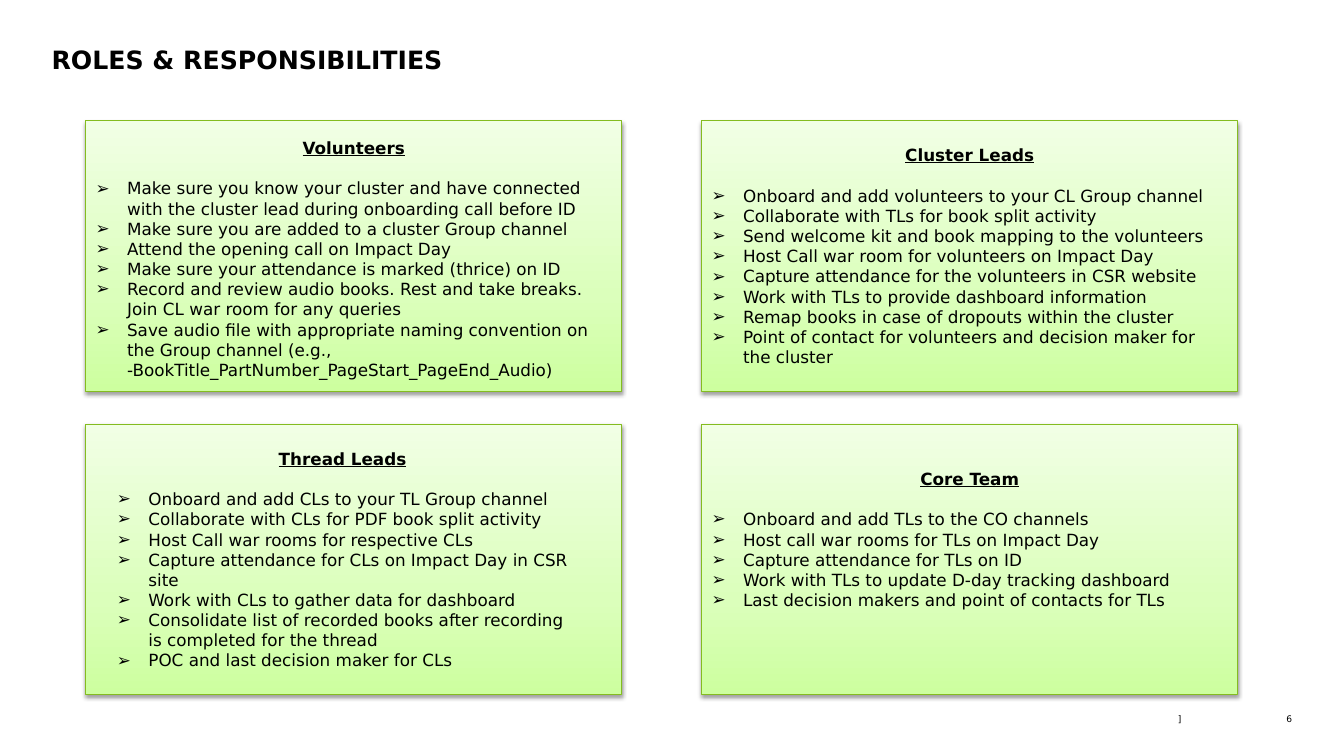
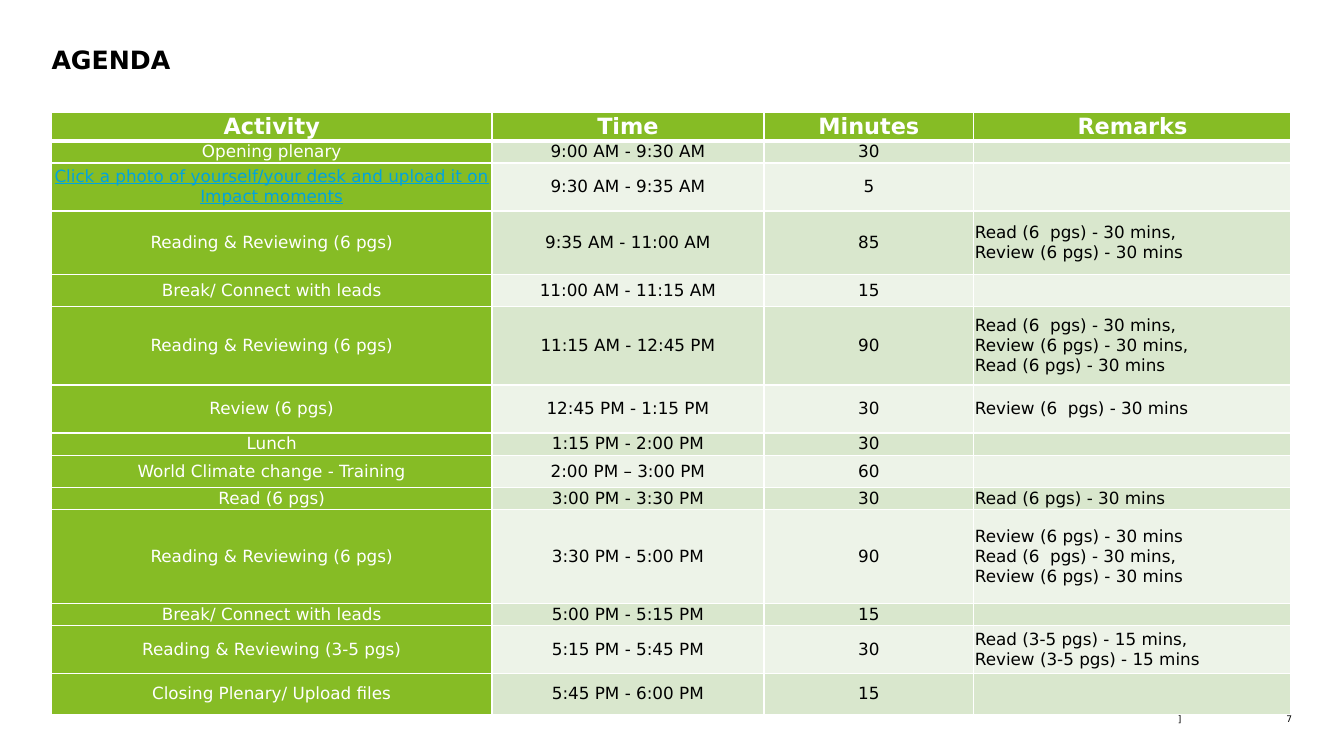
from copy import deepcopy
from dataclasses import dataclass

from lxml.etree import SubElement
from pptx import Presentation
from pptx.dml.color import RGBColor
from pptx.enum.shapes import MSO_SHAPE
from pptx.enum.text import MSO_ANCHOR, MSO_AUTO_SIZE, PP_ALIGN
from pptx.oxml import parse_xml
from pptx.oxml.ns import nsdecls, qn
from pptx.util import Pt


@dataclass(frozen=True)
class Theme:
    font: str = "DejaVu Sans"
    text: str = "000000"
    white: str = "FFFFFF"
    link: str = "00A3E0"
    panel_line: str = "84BC20"
    panel_stops: tuple = ((0, "CDFF9F"), (0.35, "DBFFBB"), (1, "F1FFE5"))
    table_green: str = "86BC25"
    bands: tuple = ("D9E7CD", "EDF3E8")
    title_size: float = 18
    header_size: float = 16
    body_size: float = 12
    footer_size: float = 6.5
    body_line: float = 14.4


@dataclass(frozen=True)
class Box:
    left: float
    top: float
    width: float
    height: float

    def lengths(self):
        return Pt(self.left), Pt(self.top), Pt(self.width), Pt(self.height)


@dataclass(frozen=True)
class Panel:
    heading: str
    items: tuple
    margins: tuple = (7.2, 7.2, 7.2, 7.2)  # left, top, right, bottom


THEME = Theme()
SLIDE_SIZE = (960, 540)
TITLE_BOX = Box(36.8, 31.4, 886, 54.6)
FOOTER_BOX = Box(458.6, 509.8, 464.4, 8)
PANELS_BOX = Box(61.2, 86.4, 823, 409.7)
PANEL_SIZE = (383, 193)
TABLE_BOX = Box(36.8, 80, 885.4, 430)

PANELS = (
    Panel("Volunteers", (
        "Make sure you know your cluster and have connected with the cluster lead "
        "during onboarding call before ID",
        "Make sure you are added to a cluster Group channel",
        "Attend the opening call on Impact Day",
        "Make sure your attendance is marked (thrice) on ID",
        "Record and review audio books. Rest and take breaks. Join CL war room for any queries",
        "Save audio file with appropriate naming convention on the Group channel (e.g., "
        "-BookTitle_PartNumber_PageStart_PageEnd_Audio)",
    ), (7.2, 11, 7.2, 7.2)),
    Panel("Cluster Leads", (
        "Onboard and add volunteers to your CL Group channel",
        "Collaborate with TLs for book split activity",
        "Send welcome kit and book mapping to the volunteers",
        "Host Call war room for volunteers on Impact Day",
        "Capture attendance for the volunteers in CSR website",
        "Work with TLs to provide dashboard information",
        "Remap books in case of dropouts within the cluster",
        "Point of contact for volunteers and decision maker for the cluster",
    )),
    Panel("Thread Leads", (
        "Onboard and add CLs to your TL Group channel",
        "Collaborate with CLs for PDF book split activity",
        "Host Call war rooms for respective CLs",
        "Capture attendance for CLs on Impact Day in CSR site",
        "Work with CLs to gather data for dashboard",
        "Consolidate list of recorded books after recording is completed for the thread",
        "POC and last decision maker for CLs",
    ), (22.3, 7.2, 38.2, 7.2)),
    Panel("Core Team", (
        "Onboard and add TLs to the CO channels",
        "Host call war rooms for TLs on Impact Day",
        "Capture attendance for TLs on ID",
        "Work with TLs to update D-day tracking dashboard",
        "Last decision makers and point of contacts for TLs",
    ), (7.2, 7.2, 7.2, 36)),
)

COLUMNS = (("Activity", 314.6), ("Time", 194.3), ("Minutes", 150), ("Remarks", 226.5))
HEADER_HEIGHT = 20
PHOTO_ACTIVITY = "Click a photo of yourself/your desk and upload it on Impact moments"
AGENDA = (  # row height, then the cells
    (15.8, "Opening plenary", "9:00 AM - 9:30 AM", "30", ""),
    (34.3, PHOTO_ACTIVITY, "9:30 AM - 9:35 AM", "5", ""),
    (45.2, "Reading & Reviewing (6 pgs)", "9:35 AM - 11:00 AM", "85",
     "Read (6  pgs) - 30 mins,\nReview (6 pgs) - 30 mins"),
    (23.2, "Break/ Connect with leads", "11:00 AM - 11:15 AM", "15", ""),
    (56, "Reading & Reviewing (6 pgs)", "11:15 AM - 12:45 PM", "90",
     "Read (6  pgs) - 30 mins,\nReview (6 pgs) - 30 mins,\nRead (6 pgs) - 30 mins"),
    (34.3, "Review (6 pgs)", "12:45 PM - 1:15 PM", "30", "Review (6  pgs) - 30 mins"),
    (15.8, "Lunch", "1:15 PM - 2:00 PM", "30", ""),
    (23.2, "World Climate change - Training", "2:00 PM – 3:00 PM", "60", ""),
    (15.8, "Read (6 pgs)", "3:00 PM - 3:30 PM", "30", "Read (6 pgs) - 30 mins"),
    (67, "Reading & Reviewing (6 pgs)", "3:30 PM - 5:00 PM", "90",
     "Review (6 pgs) - 30 mins\nRead (6  pgs) - 30 mins,\nReview (6 pgs) - 30 mins"),
    (15.8, "Break/ Connect with leads", "5:00 PM - 5:15 PM", "15", ""),
    (34.3, "Reading & Reviewing (3-5 pgs)", "5:15 PM - 5:45 PM", "30",
     "Read (3-5 pgs) - 15 mins,\nReview (3-5 pgs) - 15 mins"),
    (29.3, "Closing Plenary/ Upload files", "5:45 PM - 6:00 PM", "15", ""),
)


def rgb(color):
    return RGBColor.from_string(color)


def format_runs(paragraph, size, color=THEME.text, bold=False, underline=False):
    for run in paragraph.runs:
        font = run.font
        font.name, font.size = THEME.font, Pt(size)
        font.bold, font.underline = bold, underline
        font.color.rgb = rgb(color)


def set_margins(target, left, top, right, bottom):
    """Set the inner margins of a text frame or a table cell."""
    target.margin_left, target.margin_top = Pt(left), Pt(top)
    target.margin_right, target.margin_bottom = Pt(right), Pt(bottom)


def add_title(slide, text, box):
    title = slide.shapes.title
    title.left, title.top, title.width, title.height = box.lengths()
    text_frame = title.text_frame
    text_frame.text = text
    text_frame.word_wrap = True
    text_frame.auto_size = MSO_AUTO_SIZE.NONE
    text_frame.vertical_anchor = MSO_ANCHOR.TOP
    set_margins(text_frame, 0, 0, 0, 0)
    paragraph = text_frame.paragraphs[0]
    paragraph.alignment = PP_ALIGN.LEFT
    format_runs(paragraph, THEME.title_size, bold=True)


def add_footer(slide, number, box):
    mark_width, number_width = 385.2, 24.5
    for text, left, width in (
        ("]", box.left, mark_width),
        (str(number), box.left + box.width - number_width, number_width),
    ):
        textbox = slide.shapes.add_textbox(*Box(left, box.top, width, box.height).lengths())
        text_frame = textbox.text_frame
        text_frame.word_wrap = True
        set_margins(text_frame, 0, 0, 0, 0)
        text_frame.text = text
        paragraph = text_frame.paragraphs[0]
        paragraph.alignment = PP_ALIGN.RIGHT
        format_runs(paragraph, THEME.footer_size)


def add_slide(presentation, title, number):
    slide = presentation.slides.add_slide(presentation.slide_layouts[5])
    add_title(slide, title, TITLE_BOX)
    add_footer(slide, number, FOOTER_BOX)
    return slide


def style_panel(shape):
    """Give the panel its three-stop gradient, thin outline and soft shadow."""
    shape.fill.gradient()
    shape.fill.gradient_angle = 90
    stop_list = shape._element.spPr.find(qn("a:gradFill")).find(qn("a:gsLst"))
    stop_list.append(deepcopy(stop_list[-1]))
    for stop, (position, color) in zip(shape.fill.gradient_stops, THEME.panel_stops):
        stop.position = position
        stop.color.rgb = rgb(color)
    shape.line.color.rgb = rgb(THEME.panel_line)
    shape.line.width = Pt(0.75)
    shape.shadow.inherit = False
    shape._element.spPr.find(qn("a:effectLst")).append(parse_xml(
        f'<a:outerShdw {nsdecls("a")} blurRad="{Pt(3.1)}" dist="{Pt(1.6)}" dir="5400000" '
        f'rotWithShape="0"><a:srgbClr val="{THEME.text}"><a:alpha val="38000"/>'
        '</a:srgbClr></a:outerShdw>'))


def add_bullet(paragraph):
    properties = paragraph._p.get_or_add_pPr()
    properties.set("marL", str(Pt(22.5)))
    properties.set("indent", str(-Pt(22.5)))
    SubElement(properties, qn("a:buFont")).set("typeface", THEME.font)
    SubElement(properties, qn("a:buChar")).set("char", "➢")


def add_panel(slide, panel, box):
    shape = slide.shapes.add_shape(MSO_SHAPE.RECTANGLE, *box.lengths())
    style_panel(shape)
    text_frame = shape.text_frame
    text_frame.word_wrap = True
    text_frame.vertical_anchor = MSO_ANCHOR.MIDDLE
    set_margins(text_frame, *panel.margins)
    text_frame.text = "\n".join((panel.heading, *panel.items))
    heading, *items = text_frame.paragraphs
    for paragraph in text_frame.paragraphs:
        paragraph.alignment = PP_ALIGN.LEFT
        paragraph.line_spacing = Pt(THEME.body_line)
    heading.alignment = PP_ALIGN.CENTER
    heading.space_after = Pt(THEME.body_line)
    format_runs(heading, THEME.body_size, bold=True, underline=True)
    for item in items:
        add_bullet(item)
        format_runs(item, THEME.body_size)


def add_panel_grid(slide, panels, box):
    """Place the panels two by two, flush with the edges of the box."""
    width, height = PANEL_SIZE
    for index, panel in enumerate(panels):
        row, column = divmod(index, 2)
        left = box.left + column * (box.width - width)
        top = box.top + row * (box.height - height)
        add_panel(slide, panel, Box(left, top, width, height))


def set_borders(cell, bottom_width):
    properties = cell._tc.get_or_add_tcPr()
    for index, (side, width) in enumerate(
        (("L", 1), ("R", 1), ("T", 1), ("B", bottom_width))
    ):
        properties.insert(index, parse_xml(
            f'<a:ln{side} {nsdecls("a")} w="{Pt(width)}"><a:solidFill>'
            f'<a:srgbClr val="{THEME.white}"/></a:solidFill></a:ln{side}>'))


def fill_cell(cell, text, fill, alignment, border=1, **font):
    cell.fill.solid()
    cell.fill.fore_color.rgb = rgb(fill)
    cell.vertical_anchor = MSO_ANCHOR.MIDDLE
    set_margins(cell, 0.7, 0.7, 0.7, 0.7)
    set_borders(cell, border)
    paragraph = cell.text_frame.paragraphs[0]
    paragraph.alignment = alignment
    if text:
        paragraph.text = text
        format_runs(paragraph, **font)
    else:
        end = SubElement(paragraph._p, qn("a:endParaRPr"))
        end.set("sz", str(int(THEME.body_size * 100)))


def add_agenda_table(slide, box):
    frame = slide.shapes.add_table(len(AGENDA) + 1, len(COLUMNS), *box.lengths())
    table = frame.table
    table.horz_banding = False
    table.rows[0].height = Pt(HEADER_HEIGHT)
    for index, (name, width) in enumerate(COLUMNS):
        table.columns[index].width = Pt(width)
        fill_cell(table.cell(0, index), name, THEME.table_green, PP_ALIGN.CENTER,
                  border=3, size=THEME.header_size, color=THEME.white, bold=True)
    for row, (height, *texts) in enumerate(AGENDA, start=1):
        table.rows[row].height = Pt(height)
        for column, text in enumerate(texts):
            is_activity = column == 0
            is_link = text == PHOTO_ACTIVITY
            fill = THEME.table_green if is_activity else THEME.bands[(row - 1) % 2]
            color = THEME.white if is_activity else THEME.text
            is_remark = column == len(COLUMNS) - 1
            fill_cell(table.cell(row, column), text, fill,
                      PP_ALIGN.LEFT if is_remark else PP_ALIGN.CENTER,
                      size=THEME.body_size, color=THEME.link if is_link else color,
                      underline=is_link)


def main():
    presentation = Presentation()
    presentation.slide_width, presentation.slide_height = map(Pt, SLIDE_SIZE)
    roles = add_slide(presentation, "ROLES & RESPONSIBILITIES", 6)
    add_panel_grid(roles, PANELS, PANELS_BOX)
    agenda = add_slide(presentation, "AGENDA", 7)
    add_agenda_table(agenda, TABLE_BOX)
    presentation.save("out.pptx")


if __name__ == "__main__":
    main()
